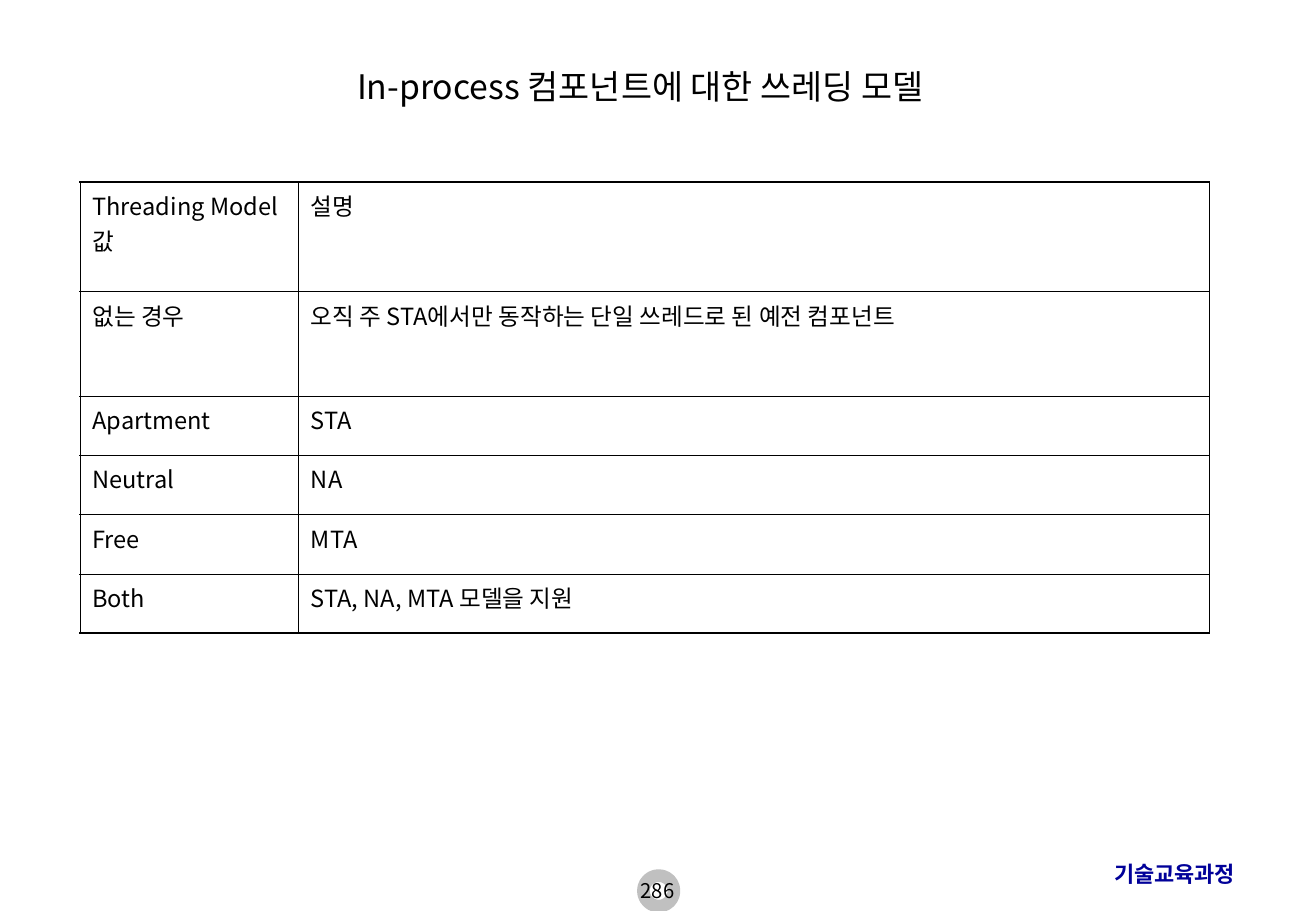
from pptx import Presentation
from pptx import util as u
from pptx.dml.color import RGBColor
from pptx.enum import shapes, text
from pptx.oxml import parse_xml
from pptx.oxml.ns import nsdecls, qn

NOTO = "Noto Sans CJK KR"
BLACK = "000000"
THIN, THICK = u.Pt(0.45), u.Pt(1.08)

ROWS = [
    ("Threading Model 값", "설명"),
    ("없는 경우", "오직 주 STA에서만 동작하는 단일 쓰레드로 된 예전 컴포넌트"),
    ("Apartment", "STA"),
    ("Neutral", "NA"),
    ("Free", "MTA"),
    ("Both", "STA, NA, MTA 모델을 지원"),
]
WIDTHS = [4.57, 19.05]
HEIGHTS = [2.29, 2.18] + [1.24] * 4


def paint(color, code):
    color.rgb = RGBColor.from_string(code)


def put(item, left, top, width, height):
    box = dict(left=left, top=top, width=width, height=height)
    for key, val in box.items():
        setattr(item, key, u.Cm(val))


def write(frame, words, size, face=NOTO, color=BLACK, align=text.PP_ALIGN.LEFT, bold=False):
    para = frame.paragraphs[0]
    para.alignment = align
    run = para.add_run()
    run.text = words
    form = dict(size=u.Pt(size), name=face, bold=bold)
    for key, val in form.items():
        setattr(run.font, key, val)
    paint(run.font.color, color)
    # Korean letters take their face from a:ea
    latin = run._r.get_or_add_rPr().find(qn("a:latin"))
    latin.addnext(parse_xml(f'<a:ea {nsdecls("a")} typeface="{face}"/>'))


def label(slide, box, words, size, **form):
    item = slide.shapes.add_textbox(*map(u.Cm, box))
    item.text_frame.word_wrap = True
    write(item.text_frame, words, size, **form)


def ring(slide, box):
    item = slide.shapes.add_shape(shapes.MSO_SHAPE.OVAL, *map(u.Cm, box))
    item.shadow.inherit = False
    item.fill.solid()
    paint(item.fill.fore_color, "FFFFFF")
    paint(item.line.color, "C0C0C0")
    item.line.width = u.Pt(7.5)


def edge(cell, sides):
    props = cell._tc.get_or_add_tcPr()
    for side, width in sides.items():
        props.append(parse_xml(
            f'<a:ln{side} {nsdecls("a")} w="{width}"><a:solidFill>'
            f'<a:srgbClr val="{BLACK}"/></a:solidFill></a:ln{side}>'))


def grid(slide, left, top):
    size = map(u.Cm, (left, top, sum(WIDTHS), sum(HEIGHTS)))
    table = slide.shapes.add_table(len(ROWS), len(WIDTHS), *size).table
    table.first_row = table.horz_banding = False
    for col, width in zip(table.columns, WIDTHS):
        col.width = u.Cm(width)
    for row, height in zip(table.rows, HEIGHTS):
        row.height = u.Cm(height)
    # Outer edges are thick, inner ones thin
    for r, line in enumerate(ROWS):
        for c, words in enumerate(line):
            cell = table.cell(r, c)
            outer = dict(L=c == 0, R=c == len(WIDTHS) - 1,
                         T=r == 0, B=r == len(ROWS) - 1)
            edge(cell, {side: THICK if out else THIN for side, out in outer.items()})
            cell.fill.background()
            write(cell.text_frame, words, 14)


def main():
    deck = Presentation()
    deck.slide_width, deck.slide_height = u.Cm(27.53), u.Cm(19.05)
    slide = deck.slides.add_slide(deck.slide_layouts[5])

    # Footer
    ring(slide, (13.46, 18.31, 0.64, 0.64))
    label(slide, (23.06, 17.88, 3.91, 0.81), "기술교육과정", 13,
          face="Arial", color="000099", bold=True)

    # Title
    title = slide.shapes.title
    put(title, 1.7, 0.43, 23.39, 2.74)
    title.text_frame.vertical_anchor = text.MSO_ANCHOR.MIDDLE
    write(title.text_frame, "In-process 컴포넌트에 대한 쓰레딩 모델", 20,
          align=text.PP_ALIGN.CENTER)

    # Threading models
    grid(slide, 1.68, 3.81)

    # Page number
    label(slide, (10.54, 18.24, 6.43, 0.81), "286", 12, align=text.PP_ALIGN.CENTER)

    deck.save("out.pptx")


if __name__ == "__main__":
    main()
